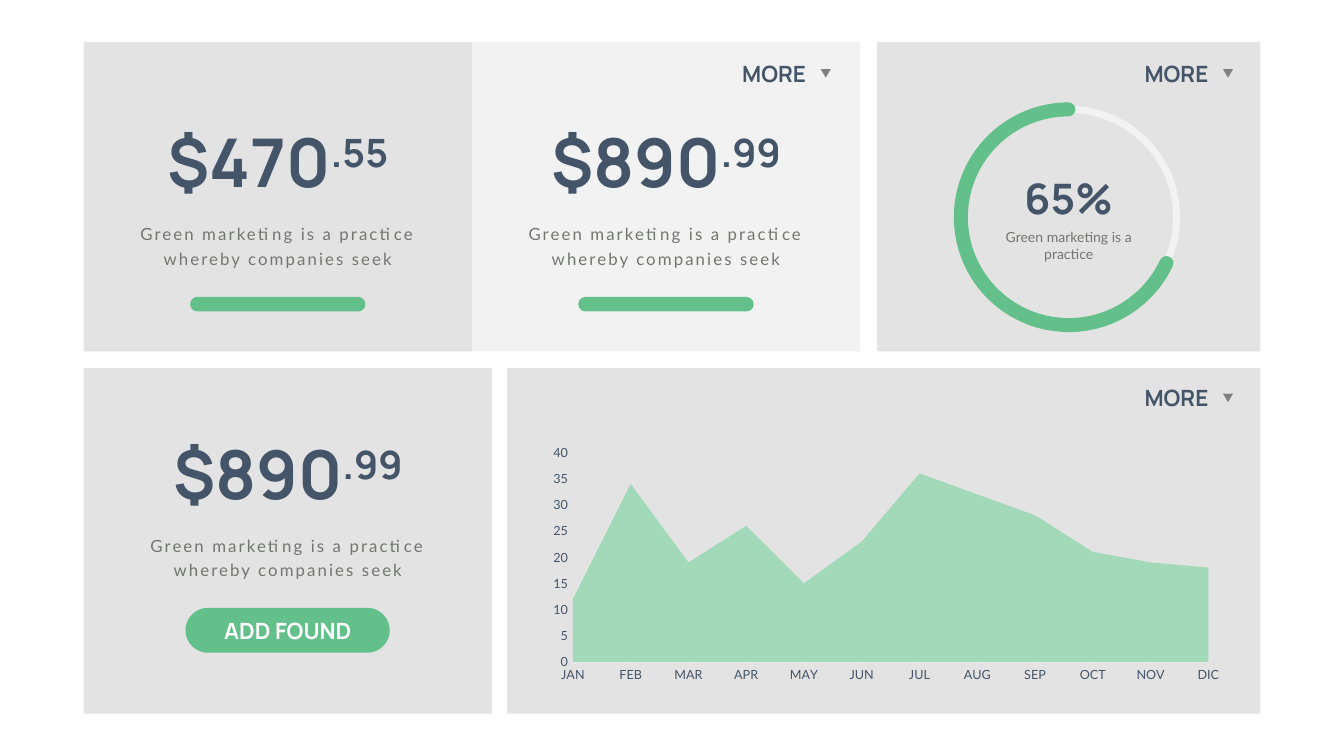
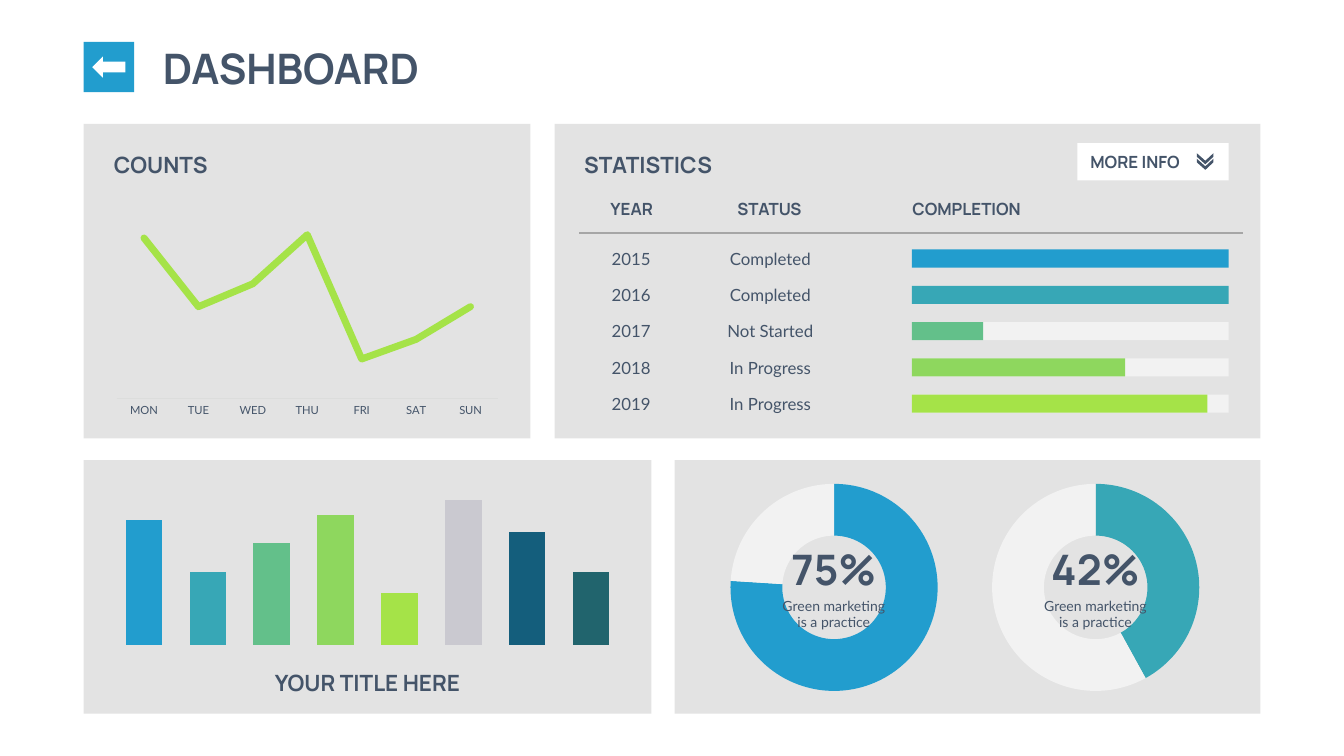
from lxml import etree
from pptx import Presentation
from pptx.chart.data import CategoryChartData
from pptx.dml.color import RGBColor
from pptx.enum.chart import XL_CHART_TYPE, XL_MARKER_STYLE, XL_TICK_LABEL_POSITION, XL_TICK_MARK
from pptx.enum.shapes import MSO_CONNECTOR, MSO_SHAPE
from pptx.enum.text import MSO_ANCHOR, MSO_AUTO_SIZE, PP_ALIGN
from pptx.oxml.ns import qn
from pptx.util import Inches, Pt

RECTANGLE, PILL = MSO_SHAPE.RECTANGLE, MSO_SHAPE.ROUNDED_RECTANGLE
TRIANGLE, LEFT_ARROW, ARC = MSO_SHAPE.ISOSCELES_TRIANGLE, MSO_SHAPE.LEFT_ARROW, MSO_SHAPE.ARC
STRAIGHT = MSO_CONNECTOR.STRAIGHT
LEFT, CENTER, RIGHT = PP_ALIGN.LEFT, PP_ALIGN.CENTER, PP_ALIGN.RIGHT
TOP, MIDDLE, BOTTOM = MSO_ANCHOR.TOP, MSO_ANCHOR.MIDDLE, MSO_ANCHOR.BOTTOM
GROW = MSO_AUTO_SIZE.SHAPE_TO_FIT_TEXT
AREA, LINE = XL_CHART_TYPE.AREA, XL_CHART_TYPE.LINE_MARKERS
COLUMN, DOUGHNUT = XL_CHART_TYPE.COLUMN_CLUSTERED, XL_CHART_TYPE.DOUGHNUT
CIRCLE = XL_MARKER_STYLE.CIRCLE
NO_TICK, OUTSIDE = XL_TICK_MARK.NONE, XL_TICK_MARK.OUTSIDE
LOW = XL_TICK_LABEL_POSITION.LOW

NAVY, GREY, WHITE = "445469", "737572", "FFFFFF"
PANEL, PALE, ARROW_GREY, RULE = "E3E3E3", "F2F2F2", "808080", "A6A6A6"
BLUE, TEAL, GREEN, LEAF, LIME = "229DCE", "37A7B6", "63C08A", "8ED75E", "A5E348"
SILVER, DEEP_BLUE, DEEP_TEAL, MINT = "CAC9D0", "145E7C", "21646D", "A1D9B9"

HEADING, BODY = "Manrope", "Lato"
PRICE = {"name": HEADING, "size": Pt(96), "bold": True}
TITLE = {"name": HEADING, "size": Pt(60), "bold": True}
LABEL = {"name": HEADING, "size": Pt(32), "bold": True}
SMALL_LABEL = {"name": HEADING, "size": Pt(24), "bold": True}
CELL = {"name": BODY, "size": Pt(24), "bold": False}
CAPTION = {"name": BODY, "size": Pt(20), "bold": False}

BLURB = "Green marketing is a practice whereby companies seek"
SHORT_BLURB = "Green marketing is a practice"


def rgb(color):
    return RGBColor.from_string(color)


def style_font(font, values, color):
    for name, value in values.items():
        setattr(font, name, value)
    font.color.rgb = rgb(color)


class Board:
    def __init__(self):
        self.deck = Presentation()
        self.deck.slide_width, self.deck.slide_height = Inches(26.66), Inches(15)
        self.page = None

    def add_page(self, layout):
        self.page = self.deck.slides.add_slide(self.deck.slide_layouts.get_by_name(layout))

    def shape(self, kind, at, fill=None):
        shape = self.page.shapes.add_shape(kind, *map(Inches, at))
        self.paint(shape, fill)
        return shape

    def paint(self, shape, fill):
        shape.shadow.inherit = False
        shape.line.fill.background()
        if fill:
            shape.fill.solid()
            shape.fill.fore_color.rgb = rgb(fill)
        else:
            shape.fill.background()

    def pill(self, at):
        self.shape(PILL, at, GREEN).adjustments[0] = 0.5

    def arc(self, at, start, end, color, width):
        arc = self.shape(ARC, at)
        arc.adjustments[0], arc.adjustments[1] = start, end
        arc.line.color.rgb = rgb(color)
        arc.line.width = Pt(width)
        arc.line._get_or_add_ln().set("cap", "rnd")

    def rule(self, left, right, top, color, width):
        line = self.page.shapes.add_connector(STRAIGHT, *map(Inches, (left, top, right, top)))
        line.line.color.rgb = rgb(color)
        line.line.width = Pt(width)
        etree.SubElement(line._element.spPr, qn("a:effectLst"))

    def outline(self, contours, fill):
        """One filled freeform made of several closed contours."""
        contours = [[(Inches(x), Inches(y)) for x, y in points] for points in contours]
        builder = self.page.shapes.build_freeform(*contours[0][0], scale=1.0)
        for index, points in enumerate(contours):
            if index:
                builder.move_to(*points[0])
            builder.add_line_segments(points[1:], close=True)
        self.paint(builder.convert_to_shape(), fill)

    def text(self, at, text, values, color=NAVY, align=LEFT, anchor=MIDDLE, wrap=False):
        box = self.page.shapes.add_textbox(*map(Inches, at))
        return self.set_text(box, text, values, color, align, anchor, wrap)

    def set_text(self, box, text, values, color, align, anchor, wrap):
        frame = box.text_frame
        frame.word_wrap, frame.auto_size, frame.vertical_anchor = wrap, GROW, anchor
        para = frame.paragraphs[0]
        para.alignment = align
        span = para.add_run()
        span.text = text
        style_font(span.font, values, color)
        return para

    def title(self, at, text):
        box = self.page.shapes.title
        box.left, box.top, box.width, box.height = map(Inches, at)
        self.set_text(box, text, TITLE, NAVY, LEFT, MIDDLE, False)

    def price(self, left, top, whole, cents):
        """A price with raised cents, above the spaced-out blurb."""
        para = self.text((left, top, 5.02, 1.72), whole, PRICE, align=CENTER, anchor=BOTTOM)
        span = para.add_run()
        span.text = cents
        style_font(span.font, PRICE, NAVY)
        span.font._element.set("baseline", "30000")
        para = self.text((left - 0.37, top + 1.99, 5.76, 1.03), BLURB, CELL, GREY, CENTER, TOP, True)
        para.line_spacing = Pt(35)
        para.runs[0].font._element.set("spc", "300")

    def more(self, left, top):
        self.text((left, top, 1.5, 0.64), "MORE", LABEL, align=RIGHT, anchor=TOP)
        self.shape(TRIANGLE, (left + 1.69, top + 0.23, 0.2, 0.17), ARROW_GREY).rotation = 180

    def percent(self, center, top, text, color, width, gap):
        """A large percentage with a two-line caption below."""
        self.text((center - 1, top, 2, 1.11), text, TITLE, align=CENTER, anchor=BOTTOM)
        self.text((center - width / 2, top + gap, width, 0.77), SHORT_BLURB, CAPTION,
                  color, CENTER, TOP, True)

    def chart(self, kind, at, labels, values, size=10, color=GREY, font=BODY):
        data = CategoryChartData()
        data.categories = labels
        data.add_series("Series 1", values)
        chart = self.page.shapes.add_chart(kind, *map(Inches, at), data).chart
        chart.has_title = chart.has_legend = False
        style_font(chart.font, {"name": font, "size": Pt(size)}, color)
        chart.plots[0].vary_by_categories = False
        return chart

    def axes(self, chart, top, line=None, tick=NO_TICK, size=None, show_values=False):
        """Hide the axes, or show them when a line colour or values are asked for."""
        values, categories = chart.value_axis, chart.category_axis
        values.has_major_gridlines = False
        values.minimum_scale, values.maximum_scale = 0, top
        values.visible, categories.visible = show_values, line is not None
        values.format.line.fill.background()
        if line:
            categories.format.line.color.rgb = rgb(line)
            categories.format.line.width = Pt(0.75)
            categories.tick_label_position = LOW
        for axis in (values, categories):
            axis.major_tick_mark = tick
            axis.minor_tick_mark = NO_TICK
            if size:
                style_font(axis.tick_labels.font, {"name": BODY, "size": Pt(size)}, NAVY)

    def color_points(self, chart, colors):
        for index, color in enumerate(colors):
            look = chart.plots[0].series[0].points[index].format
            look.fill.solid()
            look.fill.fore_color.rgb = rgb(color)
            look.line.fill.background()

    def doughnut(self, left, share, color):
        chart = self.chart(DOUGHNUT, (left, 9.6, 4.11, 4.11), ["1", "2"], [share, 100 - share],
                           font="Calibri")
        self.color_points(chart, [color, PALE])
        chart.plots[0]._element.find(qn("c:holeSize")).set("val", "75")
        plot_area = chart._chartSpace.chart.plotArea
        layout = plot_area.find(qn("c:layout"))
        if layout is None:
            layout = etree.Element(qn("c:layout"))
            plot_area.insert(0, layout)
        manual = etree.SubElement(layout, qn("c:manualLayout"))
        settings = {"layoutTarget": "inner", "xMode": "edge", "yMode": "edge",
                    "x": "0", "y": "0", "w": "1", "h": "1"}
        for name, value in settings.items():
            etree.SubElement(manual, qn("c:" + name)).set("val", value)


def build_finance_page(board):
    board.add_page("Blank")
    for at, fill in (((1.66, 0.83, 7.7, 6.14), PANEL), ((9.36, 0.83, 7.7, 6.14), PALE),
                     ((17.4, 0.83, 7.6, 6.14), PANEL), ((10.06, 7.3, 14.94, 6.86), PANEL),
                     ((1.66, 7.3, 8.1, 6.86), PANEL)):
        board.shape(RECTANGLE, at, fill)

    for left, whole, cents in ((3, "$470", ".55"), (10.7, "$890", ".99")):
        board.price(left, 2.32, whole, cents)
        board.pill((left + 0.77, 5.89, 3.48, 0.29))
    board.price(3.2, 8.5, "$890", ".99")
    board.pill((3.68, 12.06, 4.05, 0.89))
    board.text((4.28, 12.19, 2.86, 0.64), "ADD FOUND", LABEL, WHITE, CENTER, TOP)

    for left, top in ((14.59, 1.14), (22.57, 1.14), (22.57, 7.58)):
        board.more(left, top)

    ring = (19.06, 2.17, 4.28, 4.28)
    board.arc(ring, 162, 161.85, PALE, 10)
    board.arc(ring, 15.11, 161.88, GREEN, 20)
    board.percent(21.2, 3.37, "65%", GREY, 2.75, 1.11)

    months = "JAN FEB MAR APR MAY JUN JUL AUG SEP OCT NOV DIC".split()
    chart = board.chart(AREA, (10.7, 8.73, 13.76, 4.9), months,
                        [12, 34, 19, 26, 15, 23, 36, 32, 28, 21, 19, 18], 18, NAVY)
    board.axes(chart, 40, "EAEAEA", OUTSIDE, 18, show_values=True)
    chart.value_axis.major_unit = 5
    chart._chartSpace.xpath("//c:crossBetween")[0].set("val", "midCat")
    fill = chart.plots[0].series[0].format.fill
    fill.solid()
    fill.fore_color.rgb = rgb(MINT)


def build_statistics(board):
    board.text((11.49, 2.94, 2.76, 0.64), "STATISTICS", LABEL)
    board.shape(RECTANGLE, (21.37, 2.84, 3, 0.74), WHITE)
    board.text((21.53, 2.96, 2.12, 0.5), "MORE INFO", SMALL_LABEL)
    left, middle, right = 23.74, 23.91, 24.07
    board.outline([[(right, top), (right, top + 0.07), (middle, top + 0.22), (left, top + 0.07),
                    (left, top), (middle, top + 0.15)] for top in (3.15, 3.04)], NAVY)

    for left, width, name in ((12.01, 1.08, "YEAR"), (14.53, 1.5, "STATUS"),
                              (18, 2.4, "COMPLETION")):
        board.text((left, 3.89, width, 0.5), name, SMALL_LABEL)
    board.rule(11.49, 24.66, 4.62, RULE, 3)

    bar_left, bar_width, bar_height = 18.09, 6.28, 0.36
    rows = (("2015", "Completed", 6.28, BLUE), ("2016", "Completed", 6.28, TEAL),
            ("2017", "Not Started", 1.41, GREEN), ("2018", "In Progress", 4.23, LEAF),
            ("2019", "In Progress", 5.86, LIME))
    for index, (year, status, done, color) in enumerate(rows):
        top = 4.88 + 0.72 * index
        board.text((12.03, top, 0.98, 0.5), year, CELL, align=CENTER)
        board.text((14.33, top, 1.9, 0.5), status, CELL, align=CENTER)
        if done < bar_width:
            board.shape(RECTANGLE, (bar_left, top + 0.07, bar_width, bar_height), PALE)
        board.shape(RECTANGLE, (bar_left, top + 0.07, done, bar_height), color)


def build_dashboard_page(board):
    board.add_page("Title Only")
    board.shape(RECTANGLE, (1.66, 0.83, 1, 1), BLUE)
    board.shape(LEFT_ARROW, (1.83, 1.12, 0.66, 0.42), WHITE)
    board.title((3.13, 0.78, 5.56, 1.11), "DASHBOARD")
    for at in ((1.66, 2.46, 8.86, 6.24), (1.66, 9.13, 11.26, 5.03),
               (11, 2.46, 14, 6.24), (13.38, 9.13, 11.62, 5.03)):
        board.shape(RECTANGLE, at, PANEL)

    board.text((2.16, 2.94, 2.09, 0.64), "COUNTS", LABEL)
    chart = board.chart(LINE, (2.16, 3.92, 7.87, 4.43), "MON TUE WED THU FRI SAT SUN".split(),
                        [98, 56, 70, 100, 24, 36, 56], 16, NAVY)
    board.axes(chart, 120, "DCDDDC", size=16)
    series = chart.plots[0].series[0]
    series.smooth = False
    series.format.line.color.rgb = rgb(LIME)
    series.format.line.width = Pt(10)
    series.format.line._get_or_add_ln().set("cap", "rnd")
    series.marker.style, series.marker.size = CIRCLE, 5
    series.marker.format.fill.solid()
    series.marker.format.fill.fore_color.rgb = rgb(LIME)
    series.marker.format.line.color.rgb = rgb(LIME)

    build_statistics(board)

    chart = board.chart(COLUMN, (2.01, 9.28, 10.56, 3.58), list("12345678"),
                        [86, 50, 70, 90, 36, 100, 78, 50], font="Calibri")
    board.axes(chart, 120)
    chart.plots[0].gap_width, chart.plots[0].overlap = 75, 28
    board.color_points(chart, [BLUE, TEAL, GREEN, LEAF, LIME, SILVER, DEEP_BLUE, DEEP_TEAL])
    board.text((5.35, 13.22, 3.88, 0.64), "YOUR TITLE HERE", LABEL, align=CENTER)

    for left, share, text, color in ((14.49, 76, "75%", BLUE), (19.68, 42, "42%", TEAL)):
        board.doughnut(left, share, color)
        board.percent(left + 2.05, 10.72, text, NAVY, 2.43, 1.08)


def main():
    board = Board()
    build_finance_page(board)
    build_dashboard_page(board)
    board.deck.save("out.pptx")


if __name__ == "__main__":
    main()
